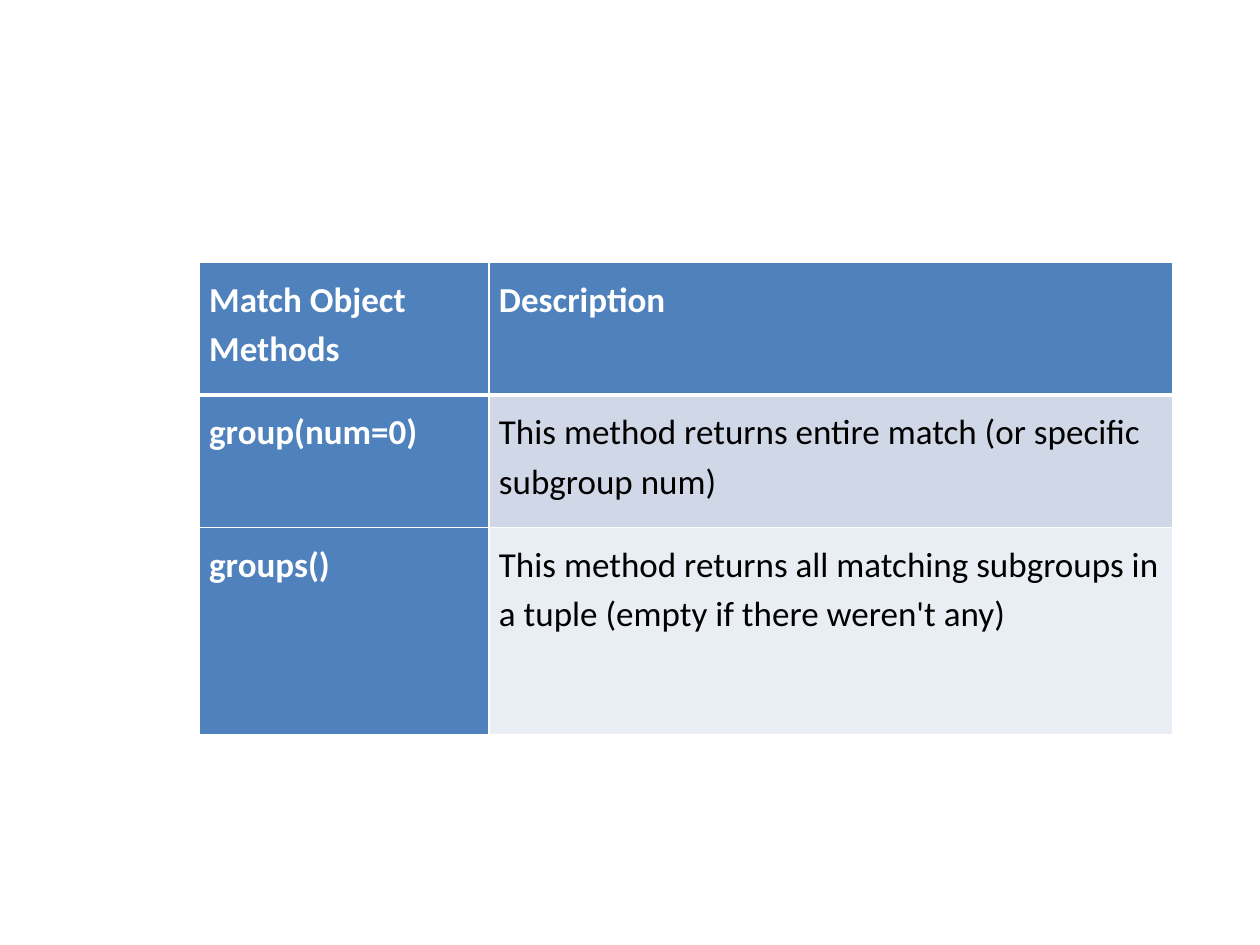
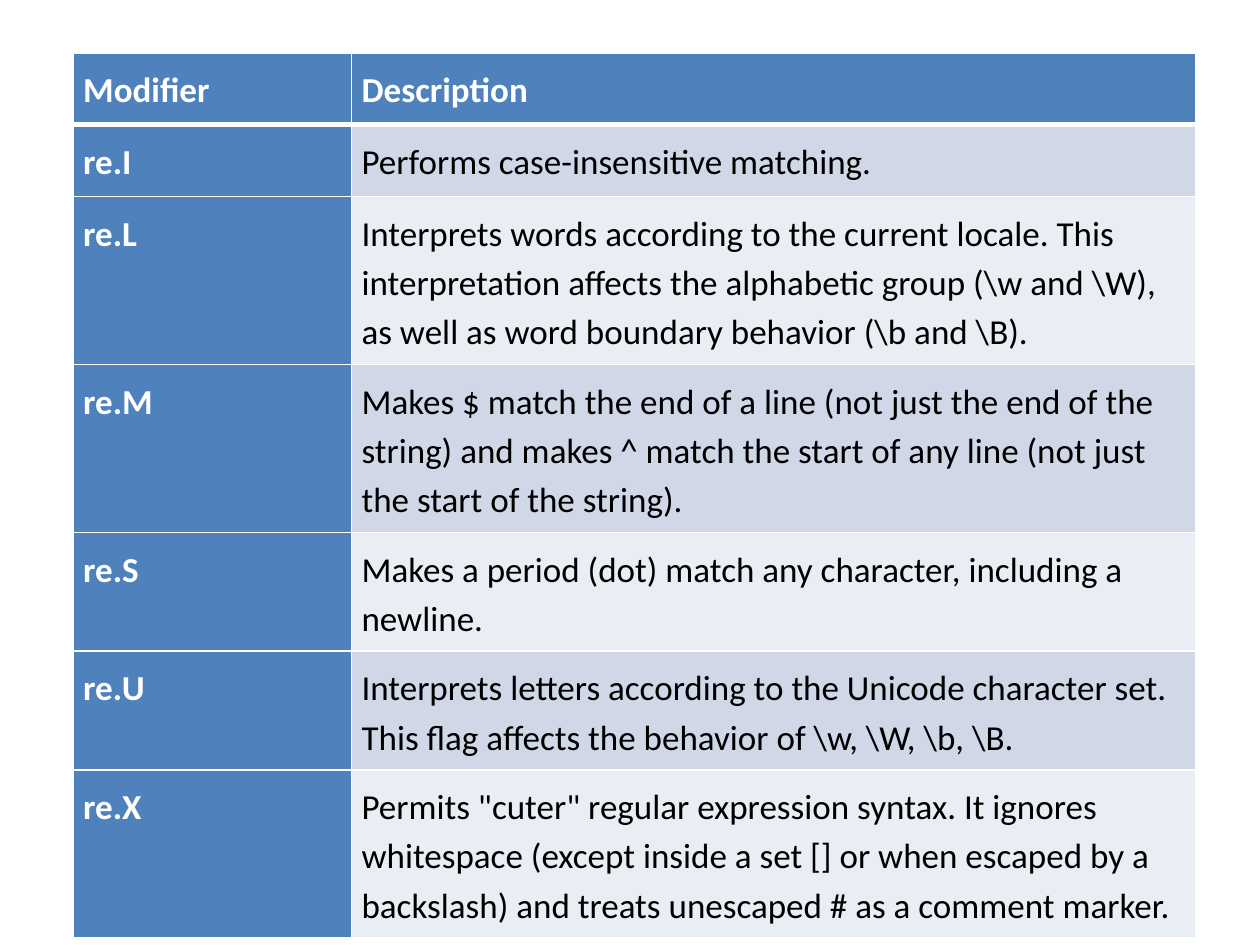
import pptx
import pptx.dml.color
import pptx.oxml
import pptx.oxml.ns
import pptx.util

# Shared look
WHITE, BLACK, BLUE = "FFFFFF", "000000", "4F81BD"
BANDS = ["D0D8E8", "E9EDF4"]
FONT, TEXT_SIZE = "Calibri", 20
PADDING = pptx.util.Inches(0.08)
THIN, THICK = 1, 3

deck = pptx.Presentation()
deck.slide_width, deck.slide_height = pptx.util.Inches(10), pptx.util.Inches(7.5)

# Grid: 100 columns of 0.1 inch, 50 rows of 0.15 inch
COLUMN, ROW = deck.slide_width / 100, deck.slide_height / 50

# Row heights for one, two and three lines of text
ONE, TWO, THREE = 3.8, 5.93, 8.13


def color(hex_code):
    return pptx.dml.color.RGBColor.from_string(hex_code)


def add_border(cell, side, points):
    line = pptx.oxml.parse_xml(
        f'<a:ln{side} {pptx.oxml.ns.nsdecls("a")} w="{pptx.util.Pt(points)}">'
        f'<a:solidFill><a:srgbClr val="{WHITE}"/></a:solidFill></a:ln{side}>'
    )
    cell._tc.get_or_add_tcPr().append(line)


# Each reference: left, top, column widths, then rows of height and wording
references = [
    (15.8, 13.9, (23, 54.3), [
        (7, "Match Object Methods", "Description"),
        (7, "group(num=0)",
         "This method returns entire match (or specific subgroup num)"),
        (11, "groups()",
         "This method returns all matching subgroups in a tuple "
         "(empty if there weren't any)"),
    ]),
    (5.8, 2.8, (22.1, 67), [
        (ONE, "Modifier", "Description"),
        (ONE, "re.I", "Performs case-insensitive matching."),
        (THREE, "re.L",
         "Interprets words according to the current locale. This interpretation "
         "affects the alphabetic group (\\w and \\W), as well as word boundary "
         "behavior (\\b and \\B)."),
        (TWO, "re.M",
         "Makes $ match the end of a line (not just the end of the string) and "
         "makes ^ match the start of any line (not just the start of the string)."),
        (ONE, "re.S",
         "Makes a period (dot) match any character, including a newline."),
        (TWO, "re.U",
         "Interprets letters according to the Unicode character set. This flag "
         "affects the behavior of \\w, \\W, \\b, \\B."),
        (THREE, "re.X",
         "Permits \"cuter\" regular expression syntax. It ignores whitespace "
         "(except inside a set [] or when escaped by a backslash) and treats "
         "unescaped # as a comment marker."),
    ]),
]

for left, top, widths, entries in references:
    slide = deck.slides.add_slide(deck.slide_layouts[6])
    total_height = sum(height for height, *wording in entries)
    reference = slide.shapes.add_table(
        len(entries), len(widths), int(left * COLUMN), int(top * ROW),
        int(sum(widths) * COLUMN), int(total_height * ROW)).table

    for column, width in zip(reference.columns, widths):
        column.width = int(width * COLUMN)

    for r, (height, *wording) in enumerate(entries):
        reference.rows[r].height = int(height * ROW)
        for c, words in enumerate(wording):
            cell = reference.cell(r, c)
            heading = r == 0 or c == 0

            # Borders come before the fill; a thick rule closes the header
            add_border(cell, "L", THIN)
            add_border(cell, "R", THIN)
            add_border(cell, "T", THICK if r == 1 else THIN)
            add_border(cell, "B", THICK if r == 0 else THIN)
            cell.fill.solid()
            cell.fill.fore_color.rgb = color(BLUE if heading else BANDS[(r - 1) % 2])

            # Wording
            cell.margin_left = cell.margin_right = PADDING
            cell.margin_top = cell.margin_bottom = PADDING
            paragraph = cell.text_frame.paragraphs[0]
            paragraph.text = words
            paragraph.line_spacing = 1.15
            paragraph.space_after = pptx.util.Pt(10)
            font = paragraph.runs[0].font
            font.name, font.size, font.bold = FONT, pptx.util.Pt(TEXT_SIZE), heading
            font.color.rgb = color(WHITE if heading else BLACK)

deck.save("out.pptx")
